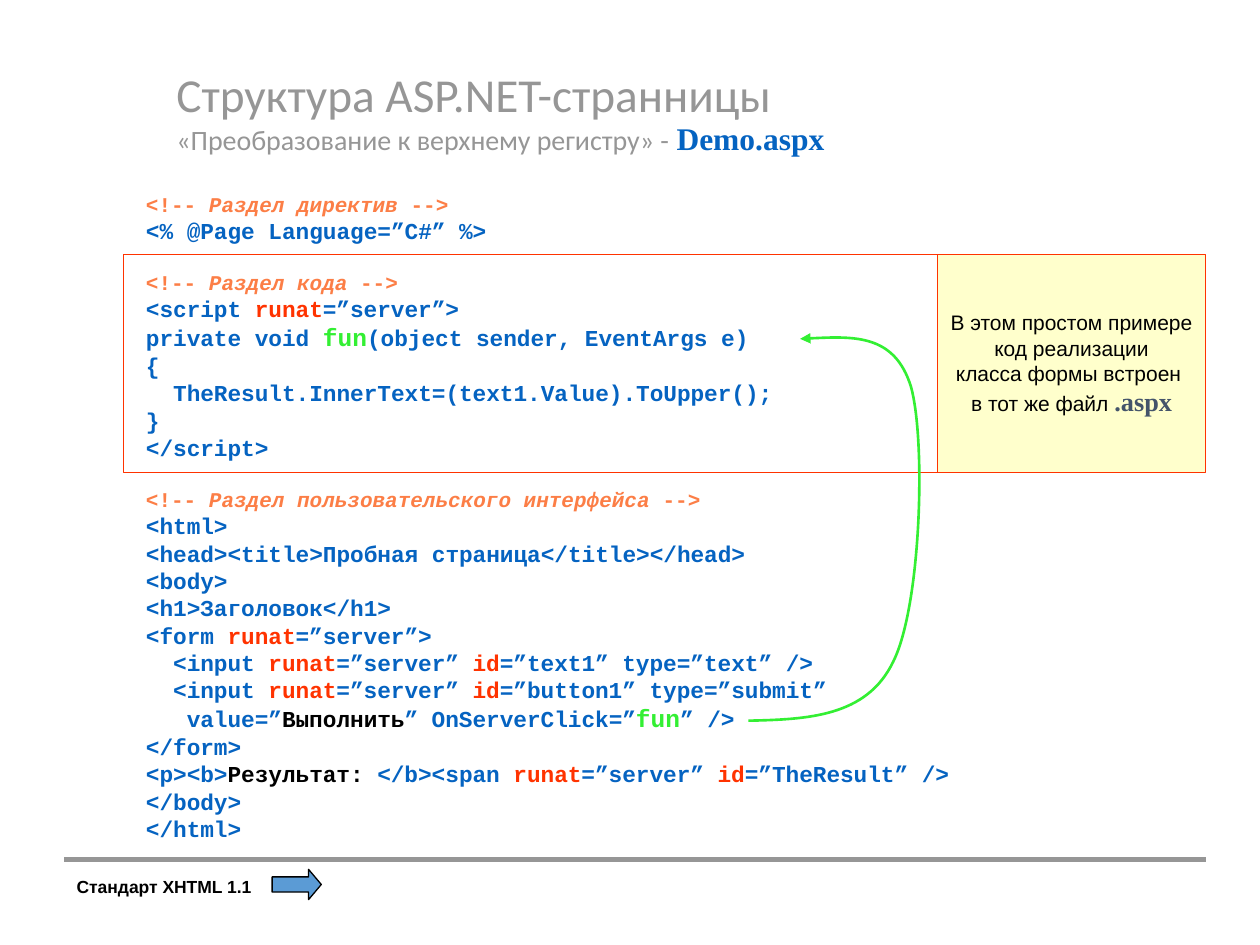
from lxml import etree
from pptx import Presentation
from pptx.dml.color import RGBColor
from pptx.enum import shapes, text
from pptx.oxml.ns import qn
from pptx.util import Inches, Pt

HUES = {"grey": "969696", "blue": "0563C1", "note": "FC7E46", "red": "FF3300",
        "green": "33EF33", "black": "000000", "cream": "FFFFCC",
        "slate": "44546A", "arrow": "5B9BD5"}

# Words set off by ~ in the code: colour and size
MARKS = {"runat": ("red", 13), "id": ("red", 13), "fun": ("green", 14),
         "Выполнить": ("black", 13), "Результат: ": ("black", 13)}

# Each part of the page: its comment, then its lines
PARTS = [
    ("Раздел директив", ["<% @Page Language=”C#” %>"]),
    ("Раздел кода", [
        "<script ~runat~=”server”>",
        "private void ~fun~(object sender, EventArgs e)",
        "{",
        "  TheResult.InnerText=(text1.Value).ToUpper();",
        "}",
        "</script>"]),
    ("Раздел пользовательского интерфейса", [
        "<html>",
        "<head><title>Пробная страница</title></head>",
        "<body>",
        "<h1>Заголовок</h1>",
        "<form ~runat~=”server”>",
        "  <input ~runat~=”server” ~id~=”text1” type=”text” />",
        "  <input ~runat~=”server” ~id~=”button1” type=”submit”",
        "   value=”~Выполнить~” OnServerClick=”~fun~” />",
        "</form>",
        "<p><b>~Результат: ~</b><span ~runat~=”server” ~id~=”TheResult” />",
        "</body>",
        "</html>"]),
]


def hue(name):
    return RGBColor.from_string(HUES[name])


class Page:
    def __init__(self, slide):
        self.slide = slide
        self.items = slide.shapes

    def run(self, para, words, tint, size, **font):
        run = para.add_run()
        run.text = words
        run.font.size = Pt(size)
        run.font.color.rgb = hue(tint)
        for key, value in font.items():
            setattr(run.font, key, value)

    def para(self, frame, first, face, bold=False):
        para = frame.paragraphs[0] if first else frame.add_paragraph()
        para.font.name = face
        para.font.bold = bold
        return para

    def title(self, box):
        head = self.items.title
        head.left, head.top, head.width, head.height = map(Inches, box)
        frame = head.text_frame
        frame.auto_size = text.MSO_AUTO_SIZE.NONE
        frame.vertical_anchor = text.MSO_ANCHOR.MIDDLE
        para = self.para(frame, True, "Calibri")
        para.alignment = text.PP_ALIGN.LEFT
        para.line_spacing = 0.9
        para.font.size = Pt(16)
        return para

    def text(self, box, anchor=text.MSO_ANCHOR.TOP):
        frame = self.items.add_textbox(*map(Inches, box)).text_frame
        frame.word_wrap = True
        frame.vertical_anchor = anchor
        return frame

    def code(self, box, parts):
        frame = self.text(box)
        for part, (note, lines) in enumerate(parts):
            para = self.para(frame, part == 0, "Courier New", True)
            if part:
                para.space_before = Pt(14.7)
            self.run(para, "<!-- ", "note", 12)
            self.run(para, note, "note", 12, italic=True)
            self.run(para, " -->", "note", 12)
            for line in lines:
                para = self.para(frame, False, "Courier New", True)
                for bit in line.split("~"):
                    self.run(para, bit, *MARKS.get(bit, ("blue", 13)))

    def shape(self, kind, box, edge, fill=None):
        item = self.items.add_shape(kind, *map(Inches, box))
        self.style(item, edge, 0.75, fill)
        return item

    def style(self, item, edge, width, fill=None):
        item.shadow.inherit = False
        item.line.color.rgb = hue(edge)
        item.line.width = Pt(width)
        if fill:
            item.fill.solid()
            item.fill.fore_color.rgb = hue(fill)
        else:
            item.fill.background()

    def rule(self, start, end, tint, width):
        line = self.items.add_connector(
            shapes.MSO_CONNECTOR.STRAIGHT, *map(Inches, start + end))
        line.line.color.rgb = hue(tint)
        line.line.width = Pt(width)
        etree.SubElement(line._element.spPr, qn("a:effectLst"))

    def curve(self, start, knots, tint, width):
        """Draw cubic curves, three knots to each, with an arrowhead."""
        build = self.items.build_freeform(
            *map(Inches, start), scale=1.0)
        build.add_line_segments(
            [tuple(map(Inches, knot)) for knot in knots], close=False)
        item = build.convert_to_shape()
        self.style(item, tint, width)
        # Turn each three straight steps into one cubic curve
        steps = list(item._element.iter(qn("a:lnTo")))
        for at in range(0, len(steps), 3):
            bend = etree.Element(qn("a:cubicBezTo"))
            steps[at].addprevious(bend)
            for step in steps[at:at + 3]:
                bend.append(step[0])
                step.getparent().remove(step)
        edge = item.line._get_or_add_ln()
        etree.SubElement(edge, qn("a:tailEnd"), type="triangle")


def main():
    deck = Presentation()
    deck.slide_width, deck.slide_height = Inches(10), Inches(7.5)
    page = Page(deck.slides.add_slide(deck.slide_layouts[5]))
    left, right, split = 0.51, 9.57, 7.44
    top, high = 2.02, 1.73

    # Title
    para = page.title((1.3, 0.52, 8.06, 0.78))
    page.run(para, "Структура ASP.NET-странницы", "grey", 27)
    para.add_line_break()
    page.run(para, "«Преобразование к верхнему регистру» -", "grey", 16)
    page.run(para, " ", "blue", 18)
    page.run(para, "Demo.aspx", "blue", 18, name="Times New Roman", bold=True)

    # Code listing
    page.code((1.06, 1.47, 8.19, 5.29), PARTS)

    # Side note
    note = page.shape(shapes.MSO_SHAPE.RECTANGLE,
                      (split, top, right - split, high), "red", "cream")
    frame = note.text_frame
    frame.word_wrap = False
    frame.vertical_anchor = text.MSO_ANCHOR.MIDDLE
    lines = ["В этом простом примере", " код реализации ",
             "класса формы встроен ", "в тот же файл "]
    for at, line in enumerate(lines):
        para = page.para(frame, at == 0, "Arial")
        para.alignment = text.PP_ALIGN.CENTER
        page.run(para, line, "black", 12)
    page.run(para, ".aspx", "slate", 15, name="Times New Roman", bold=True)

    # Footer
    frame = page.text((left, 6.9, 1.73, 0.27), text.MSO_ANCHOR.MIDDLE)
    page.run(page.para(frame, True, "Arial", True),
             "Стандарт XHTML 1.1", "black", 10)
    page.rule((left, 6.82), (right, 6.82), "grey", 3)

    # Frame round the code part
    page.shape(shapes.MSO_SHAPE.RECTANGLE,
               (0.98, top, split - 0.98, high), "red")

    # Link from the button to its handler
    page.curve((5.94, 5.72),
               [(6.41, 5.71), (6.88, 5.69), (7.09, 5.25),
                (7.31, 4.81), (7.35, 3.5), (7.23, 3.07),
                (7.1, 2.65), (6.73, 2.67), (6.35, 2.69)], "green", 1.5)

    # Footer arrow
    arrow = page.shape(shapes.MSO_SHAPE.RIGHT_ARROW,
                       (2.16, 6.9, 0.39, 0.24), "black", "arrow")
    arrow.adjustments[1] = 0.42

    deck.save("out.pptx")


if __name__ == "__main__":
    main()
